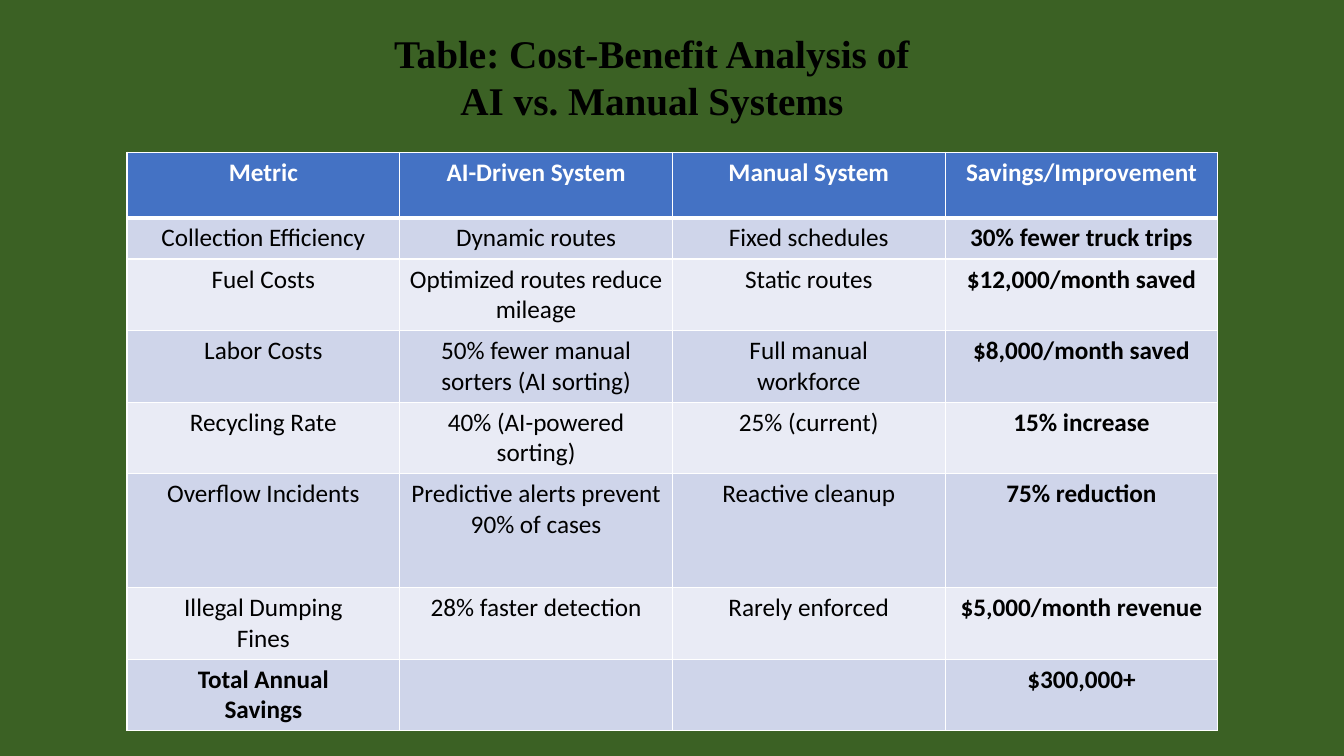
from dataclasses import dataclass

from lxml import etree
from pptx import Presentation
from pptx.dml.color import RGBColor
from pptx.enum.text import MSO_ANCHOR, MSO_AUTO_SIZE, PP_ALIGN
from pptx.oxml.ns import qn
from pptx.util import Inches, Pt

CENTER = PP_ALIGN.CENTER
TOP = MSO_ANCHOR.TOP
GROW = MSO_AUTO_SIZE.SHAPE_TO_FIT_TEXT
TITLE_ONLY = 5


@dataclass(frozen=True)
class Theme:
    background: str = "3B6124"
    header: str = "4472C4"
    bands: tuple[str, str] = ("CFD5EA", "E9EBF5")
    light: str = "FFFFFF"
    dark: str = "000000"
    title_font: str = "Times New Roman"
    table_font: str = "Calibri"
    title_size: int = 28
    table_size: int = 18
    border: int = 1
    header_border: int = 3


@dataclass(frozen=True)
class Metric:
    height: float
    name: str
    ai: str
    manual: str
    savings: str


THEME = Theme()
TITLE = "Table: Cost-Benefit Analysis of\nAI vs. Manual Systems"
METRICS = [
    Metric(0.65, "Metric", "AI-Driven System", "Manual System", "Savings/Improvement"),
    Metric(0.41, "Collection Efficiency", "Dynamic routes", "Fixed schedules", "30% fewer truck trips"),
    Metric(0.71, "Fuel Costs", "Optimized routes reduce mileage", "Static routes", "$12,000/month saved"),
    Metric(0.71, "Labor Costs", "50% fewer manual sorters (AI sorting)", "Full manual\nworkforce",
           "$8,000/month saved"),
    Metric(0.71, "Recycling Rate", "40% (AI-powered sorting)", "25% (current)", "15% increase"),
    Metric(1.13, "Overflow Incidents", "Predictive alerts prevent 90% of cases", "Reactive cleanup",
           "75% reduction"),
    Metric(0.71, "Illegal Dumping\nFines", "28% faster detection", "Rarely enforced", "$5,000/month revenue"),
    Metric(0.71, "Total Annual\nSavings", "", "", "$300,000+"),
]


def write_lines(frame, text: str, font_name: str, size: int, color: str, bold: bool) -> None:
    for index, line in enumerate(text.split("\n")):
        paragraph = frame.paragraphs[0] if index == 0 else frame.add_paragraph()
        paragraph.alignment = CENTER
        paragraph.font.size = Pt(size)
        if line:
            run = paragraph.add_run()
            run.text = line
            run.font.name = font_name
            run.font.size = Pt(size)
            run.font.bold = bold
            run.font.color.rgb = RGBColor.from_string(color)


def set_borders(cell, top: int, bottom: int) -> None:
    properties = cell._tc.get_or_add_tcPr()
    widths = {"a:lnL": THEME.border, "a:lnR": THEME.border, "a:lnT": top, "a:lnB": bottom}
    for position, (side, width) in enumerate(widths.items()):
        line = etree.Element(qn(side), w=str(Pt(width)))
        fill = etree.SubElement(line, qn("a:solidFill"))
        etree.SubElement(fill, qn("a:srgbClr"), val=THEME.light)
        properties.insert(position, line)


def add_title(slide) -> None:
    title = slide.shapes.title
    title.left, title.top = Inches(2.55), Inches(0.24)
    title.width, title.height = Inches(7.83), Inches(1.04)
    frame = title.text_frame
    frame.word_wrap = True
    frame.auto_size = GROW
    frame.vertical_anchor = TOP
    write_lines(frame, TITLE, THEME.title_font, THEME.title_size, THEME.dark, True)


def add_metrics_table(slide) -> None:
    height = sum(metric.height for metric in METRICS)
    table = slide.shapes.add_table(
        len(METRICS), 4, Inches(1.26), Inches(1.51), Inches(10.82), Inches(height)
    ).table
    last_row = len(METRICS) - 1
    for row, metric in enumerate(METRICS):
        table.rows[row].height = Inches(metric.height)
        is_header = row == 0
        fill = THEME.header if is_header else THEME.bands[(row - 1) % 2]
        color = THEME.light if is_header else THEME.dark
        top = THEME.header_border if row == 1 else THEME.border
        bottom = THEME.header_border if is_header else THEME.border
        for column, text in enumerate((metric.name, metric.ai, metric.manual, metric.savings)):
            cell = table.cell(row, column)
            cell.fill.solid()
            cell.fill.fore_color.rgb = RGBColor.from_string(fill)
            set_borders(cell, top, bottom)
            bold = row in (0, last_row) or column == 3
            write_lines(cell.text_frame, text, THEME.table_font, THEME.table_size, color, bold)


def main() -> None:
    presentation = Presentation()
    presentation.slide_width = Inches(13.33)
    presentation.slide_height = Inches(7.5)
    slide = presentation.slides.add_slide(presentation.slide_layouts[TITLE_ONLY])
    slide.background.fill.solid()
    slide.background.fill.fore_color.rgb = RGBColor.from_string(THEME.background)
    add_metrics_table(slide)
    add_title(slide)
    presentation.save("out.pptx")


if __name__ == "__main__":
    main()
